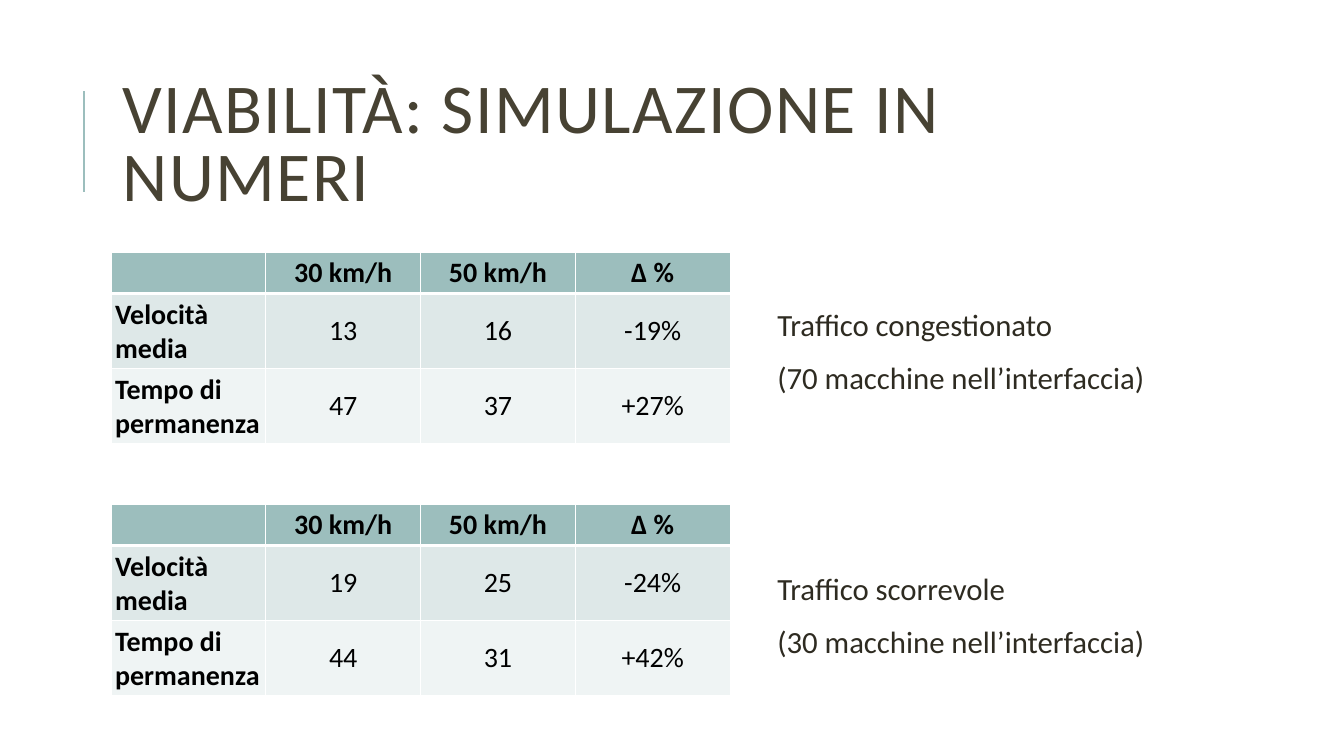
from dataclasses import dataclass

from lxml import etree
from pptx import Presentation
from pptx.dml import color
from pptx.enum import shapes, text
from pptx.oxml import ns
from pptx.util import Cm, Pt

RGBColor = color.RGBColor
TEAL = RGBColor(0x9C, 0xBE, 0xBD)
LIGHT = RGBColor(0xDE, 0xE8, 0xE8)
PALE = RGBColor(0xEF, 0xF4, 0xF4)
BROWN = RGBColor(0x47, 0x42, 0x33)
DARK = RGBColor(0x2E, 0x2B, 0x21)
BLACK = RGBColor(0, 0, 0)
WHITE = RGBColor(0xFF, 0xFF, 0xFF)
FONT = "Calibri"
HEAD = ("", "30 km/h", "50 km/h", "∆ %")
FILLS = (TEAL, LIGHT, PALE)
HEIGHTS = (1.04, 1.89, 1.89)


@dataclass
class Case:
    top: float
    speed: tuple[str, ...]
    stay: tuple[str, ...]
    note_top: float
    note: str


CASES = (
    Case(6.35, ("13", "16", "-19%"), ("47", "37", "+27%"), 7.69,
         "Traffico congestionato\n(70 macchine nell’interfaccia)"),
    Case(12.7, ("19", "25", "-24%"), ("44", "31", "+42%"), 14.34,
         "Traffico scorrevole\n(30 macchine nell’interfaccia)"),
)


def style(font, size: float, tint: RGBColor, bold: bool = False) -> None:
    font.name = FONT
    font.size = Pt(size)
    font.bold = bold
    font.color.rgb = tint


def edge(cell, side: str, width: float) -> None:
    props = cell._tc.get_or_add_tcPr()
    line = etree.SubElement(props, ns.qn(f"a:ln{side}"), w=str(Pt(width)))
    fill = etree.SubElement(line, ns.qn("a:solidFill"))
    etree.SubElement(fill, ns.qn("a:srgbClr"), val=str(WHITE))


def add_box(slide, left: float, top: float, width: float, height: float, words: str):
    frame = slide.shapes.add_textbox(Cm(left), Cm(top), Cm(width), Cm(height)).text_frame
    frame.word_wrap = True
    frame.text = words
    return frame


def add_title(slide) -> None:
    frame = add_box(slide, 2.84, 1.63, 27, 4.17, "VIABILITÀ: SIMULAZIONE IN NUMERI")
    frame.vertical_anchor = text.MSO_ANCHOR.MIDDLE
    para = frame.paragraphs[0]
    para.line_spacing = 0.8
    run = para.runs[0]
    style(run.font, 50, BROWN)
    run._r.get_or_add_rPr().set("spc", "100")


def add_rule(slide) -> None:
    rule = slide.shapes.add_connector(
        shapes.MSO_CONNECTOR.STRAIGHT, Cm(2.12), Cm(4.83), Cm(2.12), Cm(2.29))
    rule.line.color.rgb = TEAL
    rule.line.width = Pt(1.5)
    etree.SubElement(rule._element.spPr, ns.qn("a:effectLst"))


def add_grid(slide, case: Case) -> None:
    rows = (HEAD, ("Velocità media", *case.speed), ("Tempo di permanenza", *case.stay))
    table = slide.shapes.add_table(
        len(rows), len(HEAD), Cm(2.8), Cm(case.top), Cm(15.6), Cm(sum(HEIGHTS))).table
    table.first_row = table.horz_banding = False
    for r, (row, height, fill) in enumerate(zip(rows, HEIGHTS, FILLS)):
        table.rows[r].height = Cm(height)
        for c, words in enumerate(row):
            cell = table.cell(r, c)
            cell.text = words
            cell.vertical_anchor = text.MSO_ANCHOR.MIDDLE
            cell.margin_left = cell.margin_right = Cm(0.1)
            cell.margin_top = cell.margin_bottom = Cm(0.1)
            for side, width in (("L", 1), ("R", 1), ("T", 3 if r == 1 else 1),
                                ("B", 3 if r == 0 else 1)):
                edge(cell, side, width)
            cell.fill.solid()
            cell.fill.fore_color.rgb = fill
            para = cell.text_frame.paragraphs[0]
            para.alignment = text.PP_ALIGN.CENTER if c else text.PP_ALIGN.LEFT
            style(para.font, 20, BLACK, r == 0 or c == 0)
            for run in para.runs:
                style(run.font, 20, BLACK, r == 0 or c == 0)


def add_note(slide, case: Case) -> None:
    frame = add_box(slide, 19.46, case.note_top, 10.4, 2.5, case.note)
    frame.margin_left = frame.margin_right = Cm(0.13)
    frame.margin_top = frame.margin_bottom = Cm(0.13)
    for i, para in enumerate(frame.paragraphs):
        para.line_spacing = 0.9
        para.space_before = Pt(12 if i else 0)
        para.space_after = Pt(2)
        style(para.runs[0].font, 22, DARK)


def main() -> None:
    deck = Presentation()
    deck.slide_width, deck.slide_height = Cm(33.87), Cm(19.05)
    slide = deck.slides.add_slide(deck.slide_layouts[6])
    add_rule(slide)
    add_title(slide)
    for case in CASES:
        add_grid(slide, case)
        add_note(slide, case)
    deck.save("out.pptx")


if __name__ == "__main__":
    main()
